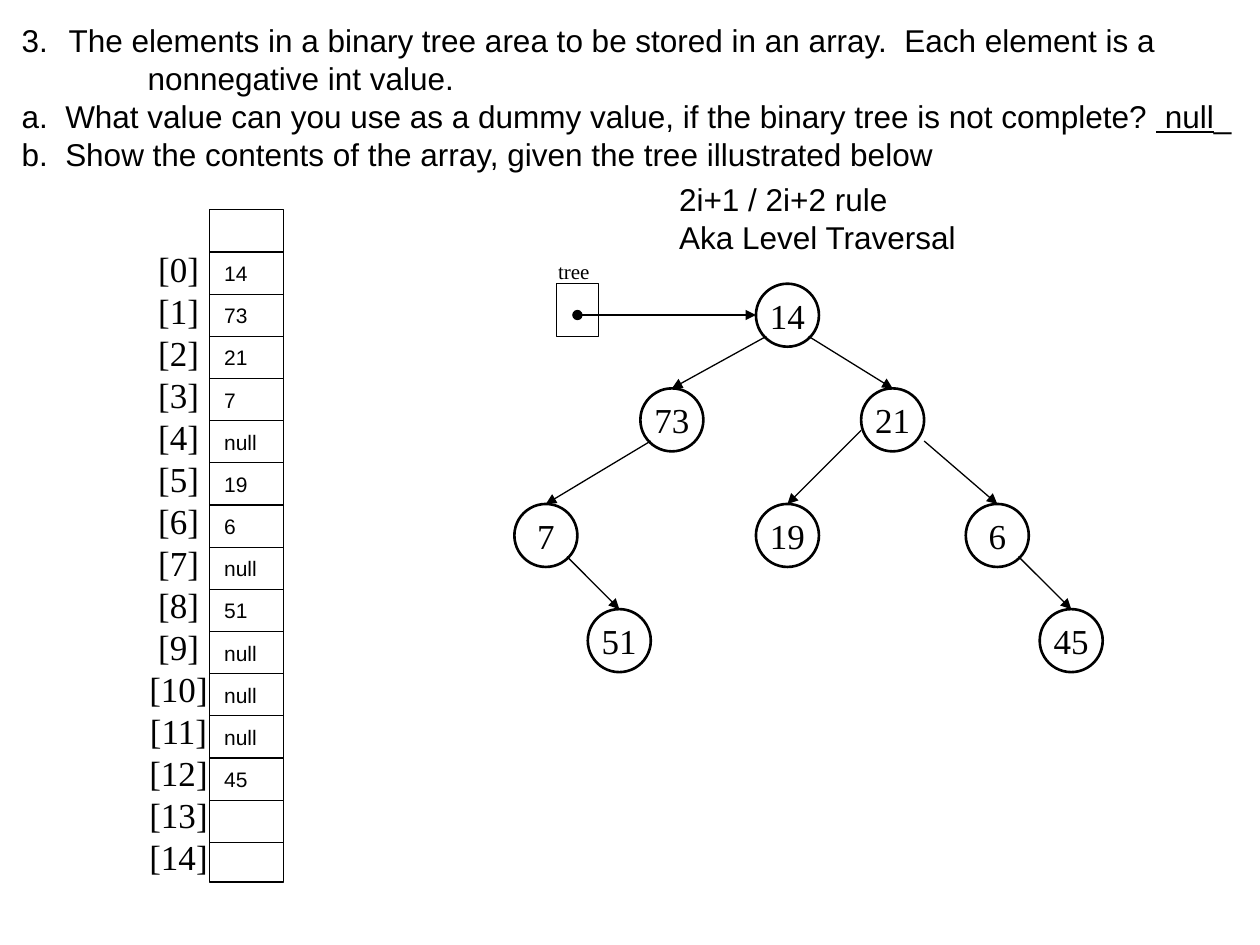
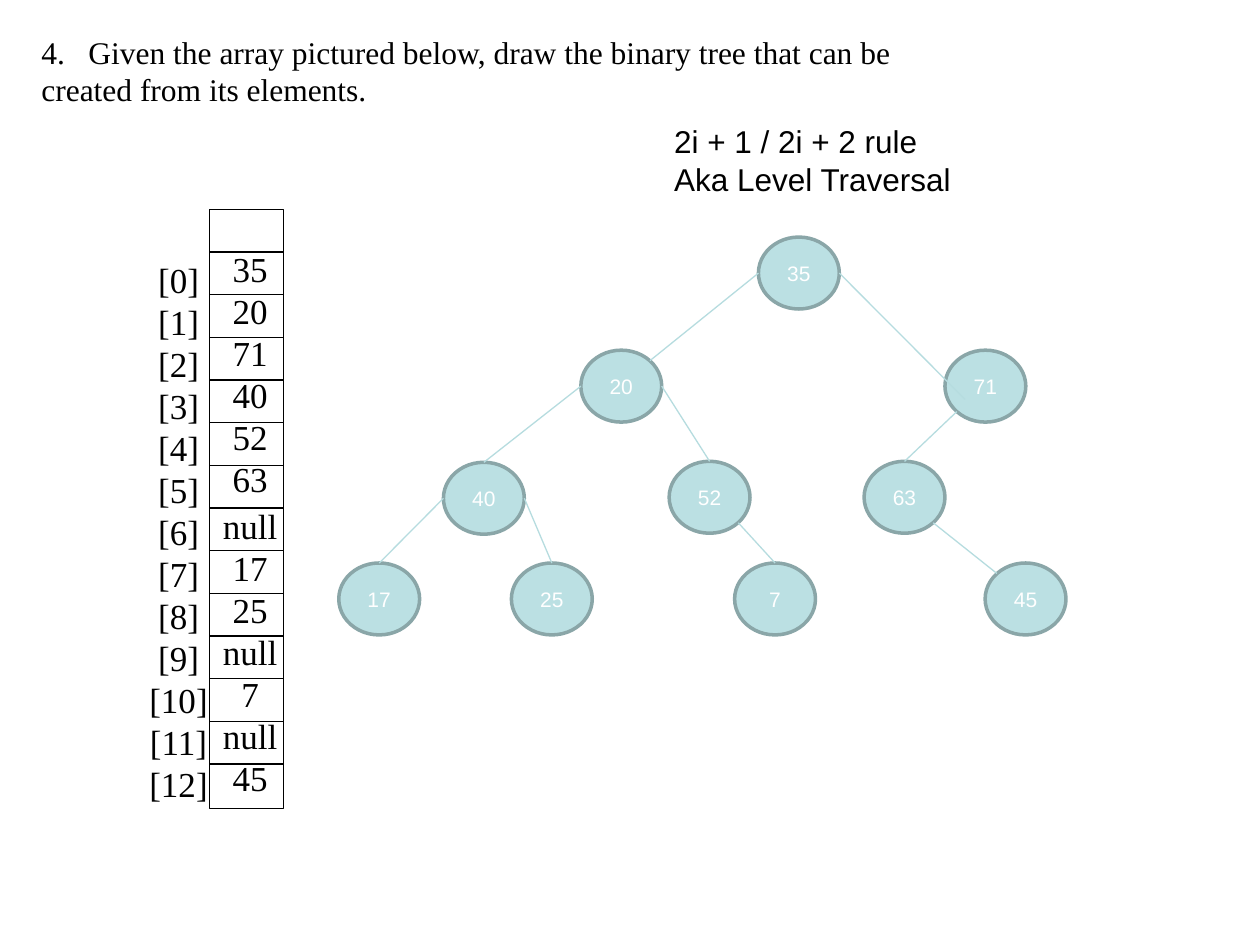
"""Two exercise slides on binary trees stored in arrays."""
from lxml import etree
from pptx import Presentation
from pptx.dml.color import RGBColor
from pptx.enum import shapes, text
from pptx.oxml import ns
from pptx.util import Cm, Pt

COLORS = {"ink": "000000", "white": "FFFFFF", "node": "BBE0E3",
          "rim": "8AA6A8", "branch": "B6DCDF"}
SERIF, SANS = "Times New Roman", "Arial"
HANGING = 0.95

# Looks of the text: font size, name and colour
QUESTION_SANS = {"size": Pt(18), "name": SANS}
QUESTION_SERIF = {"size": Pt(18), "name": SERIF}
ARRAY_SERIF = {"size": Pt(20), "name": SERIF}
SMALL_SANS = {"size": Pt(12), "name": SANS}
SMALL_SERIF = {"size": Pt(12), "name": SERIF}

# Array column
ARRAY_LEFT, ARRAY_TOP, ARRAY_WIDTH, HEADER = 4.23, 4.23, 1.48, 0.85

# Points on a node's rim, as shares of its half width and half height
TOP, LEFT, RIGHT = (0, -1), (-1, 0), (1, 0)
NE, NW, SE, SW = (0.71, -0.71), (-0.71, -0.71), (0.71, 0.71), (-0.71, 0.71)
LOW_LEFT, LOW_RIGHT = (-0.67, 0.67), (0.67, 0.67)

# Each tree: value -> left, top; then parent, child, start and end points
PLAIN_NODES = {14: (15.24, 5.72), 73: (12.91, 7.83), 21: (17.36, 7.83),
               7: (10.37, 10.16), 51: (11.85, 12.28), 19: (15.24, 10.16),
               6: (19.47, 10.16), 45: (20.96, 12.28)}
PLAIN_EDGES = [(14, 73, LOW_LEFT, TOP), (14, 21, LOW_RIGHT, TOP),
               (73, 7, LOW_LEFT, TOP), (21, 19, (-1, 0.33), TOP),
               (7, 51, LOW_RIGHT, TOP), (21, 6, (1, 0.67), TOP),
               (6, 45, LOW_RIGHT, TOP)]
TINTED_NODES = {35: (15.29, 4.78), 20: (11.71, 7.06), 71: (19.05, 7.06),
                40: (8.94, 9.32), 52: (13.49, 9.3), 63: (17.42, 9.3),
                17: (6.83, 11.35), 25: (10.31, 11.35), 7: (14.81, 11.35),
                45: (19.86, 11.35)}
TINTED_EDGES = [(35, 20, LEFT, NE), (20, 40, LEFT, TOP), (20, 52, RIGHT, TOP),
                (35, 71, RIGHT, (-0.5, 0.37)), (71, 63, SW, TOP),
                (40, 17, LEFT, TOP), (40, 25, RIGHT, TOP), (52, 7, SE, TOP),
                (63, 45, SE, NW)]
PLAIN_LOOK = {"size": (1.27, 1.27), "fill": None, "rim": "ink", "weight": 1.5,
              "font": ARRAY_SERIF, "ink": "ink", "wrap": False,
              "edge": "ink", "tail": "triangle"}
TINTED_LOOK = {"size": (1.63, 1.45), "fill": "node", "rim": "rim", "weight": 2,
               "font": SMALL_SANS, "ink": "white", "wrap": True,
               "edge": "branch", "tail": None}


def rgb(name):
    """Return the palette colour of that name."""
    return RGBColor.from_string(COLORS[name])


def apply_format(target, formats):
    """Set every attribute in formats on target."""
    for attribute, value in formats.items():
        setattr(target, attribute, value)


def write(frame, lines, font, ink="ink", align=text.PP_ALIGN.LEFT):
    """Fill a text frame; a line is a string or a list of (string, underline)."""
    for number, line in enumerate(lines):
        paragraph = frame.paragraphs[0] if number == 0 else frame.add_paragraph()
        paragraph.alignment = align
        for words, underline in [(line, None)] if isinstance(line, str) else line:
            run = paragraph.add_run()
            run.text = words
            apply_format(run.font, {**font, "underline": underline})
            run.font.color.rgb = rgb(ink)


def add_label(slide, box, lines, font, align=text.PP_ALIGN.LEFT, wrap=True):
    """Add a text box and return its text frame."""
    frame = slide.shapes.add_textbox(*map(Cm, box)).text_frame
    frame.word_wrap = wrap
    write(frame, lines, font, align=align)
    return frame


def add_question(slide, box, lines, font, number, indents):
    """Put the numbered question in the title; indents holds left margins."""
    title = slide.shapes.title
    apply_format(title, dict(zip(("left", "top", "width", "height"), map(Cm, box))))
    frame = title.text_frame
    apply_format(frame, {"word_wrap": False, "auto_size": text.MSO_AUTO_SIZE.NONE,
                         "vertical_anchor": text.MSO_ANCHOR.TOP})
    write(frame, lines, font)
    for paragraph, margin in zip(frame.paragraphs, indents):
        properties = paragraph._p.get_or_add_pPr()
        properties.set("marL", str(Cm(margin)))
        properties.set("indent", str(-Cm(HANGING) if margin else 0))
    numbering = etree.SubElement(frame.paragraphs[0]._p.get_or_add_pPr(),
                                 ns.qn("a:buAutoNum"))
    numbering.set("type", "arabicPeriod")
    numbering.set("startAt", str(number))


def add_shape(slide, kind, box, fill=None, rim="ink", weight=0.75):
    """Add a preset shape without shadow and return it."""
    shape = slide.shapes.add_shape(kind, *map(Cm, box))
    shape.shadow.inherit = False
    if fill:
        shape.fill.solid()
        shape.fill.fore_color.rgb = rgb(fill)
    else:
        shape.fill.background()
    shape.line.color.rgb = rgb(rim)
    shape.line.width = Pt(weight)
    return shape


def add_line(slide, start, end, ink="ink", head=None, tail=None):
    """Add a thin straight line with optional ends."""
    line = slide.shapes.add_connector(shapes.MSO_CONNECTOR.STRAIGHT,
                                      *map(Cm, (*start, *end)))
    line.line.color.rgb = rgb(ink)
    line.line.width = Pt(0.75)
    outline = line.line._get_or_add_ln()
    for tag, kind in (("a:headEnd", head), ("a:tailEnd", tail)):
        if kind:
            etree.SubElement(outline, ns.qn(tag)).set("type", kind)
    etree.SubElement(line._element.spPr, ns.qn("a:effectLst"))


def add_array(slide, count, height, pitch, index_top):
    """Draw the array column: frame, cell borders and indexes."""
    add_shape(slide, shapes.MSO_SHAPE.RECTANGLE,
              (ARRAY_LEFT, ARRAY_TOP, ARRAY_WIDTH, height))
    add_label(slide, (2.75, index_top, 1.7, count * 0.85 + 0.25),
              [f"[{index}]" for index in range(count)], ARRAY_SERIF,
              text.PP_ALIGN.CENTER, wrap=False)
    for index in range(count):
        y = ARRAY_TOP + HEADER + index * pitch
        add_line(slide, (ARRAY_LEFT, y), (ARRAY_LEFT + ARRAY_WIDTH, y))


def add_tree(slide, nodes, edges, look):
    """Draw the nodes of a tree and the edges between them."""
    width, height = look["size"]

    def rim_point(value, share):
        left, top = nodes[value]
        return (left + width / 2 * (1 + share[0]),
                top + height / 2 * (1 + share[1]))

    for value, place in nodes.items():
        node = add_shape(slide, shapes.MSO_SHAPE.OVAL, (*place, width, height),
                         look["fill"], look["rim"], look["weight"])
        apply_format(node.text_frame, {"word_wrap": look["wrap"],
                                       "vertical_anchor": text.MSO_ANCHOR.MIDDLE})
        write(node.text_frame, [str(value)], look["font"], look["ink"],
              text.PP_ALIGN.CENTER)
    for parent, child, start, end in edges:
        add_line(slide, rim_point(parent, start), rim_point(child, end),
                 look["edge"], tail=look["tail"])


def build_tree_to_array(slide):
    """Question 3: from the tree to the array."""
    add_question(slide, (0.18, 0.3, 25.12, 3.33), [
        "The elements in a binary tree area to be stored in an array.  "
        "Each element is a ",
        "nonnegative int value.",
        [("a.  What value can you use as a dummy value, if the binary tree "
          "is not complete? ", None), (" null", True), ("_", None)],
        "b.  Show the contents of the array, given the tree illustrated below",
    ], QUESTION_SANS, 3, (HANGING, 3.49, HANGING, HANGING))
    add_tree(slide, PLAIN_NODES, PLAIN_EDGES, PLAIN_LOOK)
    add_shape(slide, shapes.MSO_SHAPE.RECTANGLE, (11.22, 5.72, 0.85, 1.06))
    add_line(slide, (11.64, 6.35), (15.24, 6.35), head="oval", tail="triangle")
    add_label(slide, (11, 5.08, 1.15, 0.76), ["tree"], SMALL_SERIF, wrap=False)
    pitch = 0.85
    add_array(slide, 15, 13.55, pitch, 4.87)
    values = "14 73 21 7 null 19 6 null 51 null null null 45".split()
    for index, value in enumerate(values):
        add_label(slide, (4.27, 5.13 + index * pitch, ARRAY_WIDTH, 0.76),
                  [value], SMALL_SANS)
    add_label(slide, (13.44, 3.5, 6.83, 1.8),
              ["2i+1 / 2i+2 rule", "Aka Level Traversal"], QUESTION_SANS)


def build_array_to_tree(slide):
    """Question 4: from the array to the tree."""
    add_array(slide, 13, 12.07, 0.86, 5.08)
    add_question(slide, (0.58, 0.53, 17.83, 1.8), [
        "Given the array pictured below, draw the binary tree that can be",
        "created from its elements.",
    ], QUESTION_SERIF, 4, (HANGING, 0))
    values = "35 20 71 40 52 63 null 17 25 null 7 null 45".split()
    contents = add_label(slide, (4.23, 4.86, 1.63, 11.37), values, ARRAY_SERIF,
                         text.PP_ALIGN.CENTER)
    contents.paragraphs[values.index("null")].space_before = Pt(3)
    add_tree(slide, TINTED_NODES, TINTED_EDGES, TINTED_LOOK)
    add_label(slide, (13.34, 2.34, 7.34, 1.8),
              ["2i + 1 / 2i + 2 rule", "Aka Level Traversal"], QUESTION_SANS)


def main():
    """Build both slides and save them."""
    deck = Presentation()
    apply_format(deck, {"slide_width": Cm(25.4), "slide_height": Cm(19.05)})
    title_only = deck.slide_layouts[5]
    for build in (build_tree_to_array, build_array_to_tree):
        build(deck.slides.add_slide(title_only))
    deck.save("out.pptx")


main()
